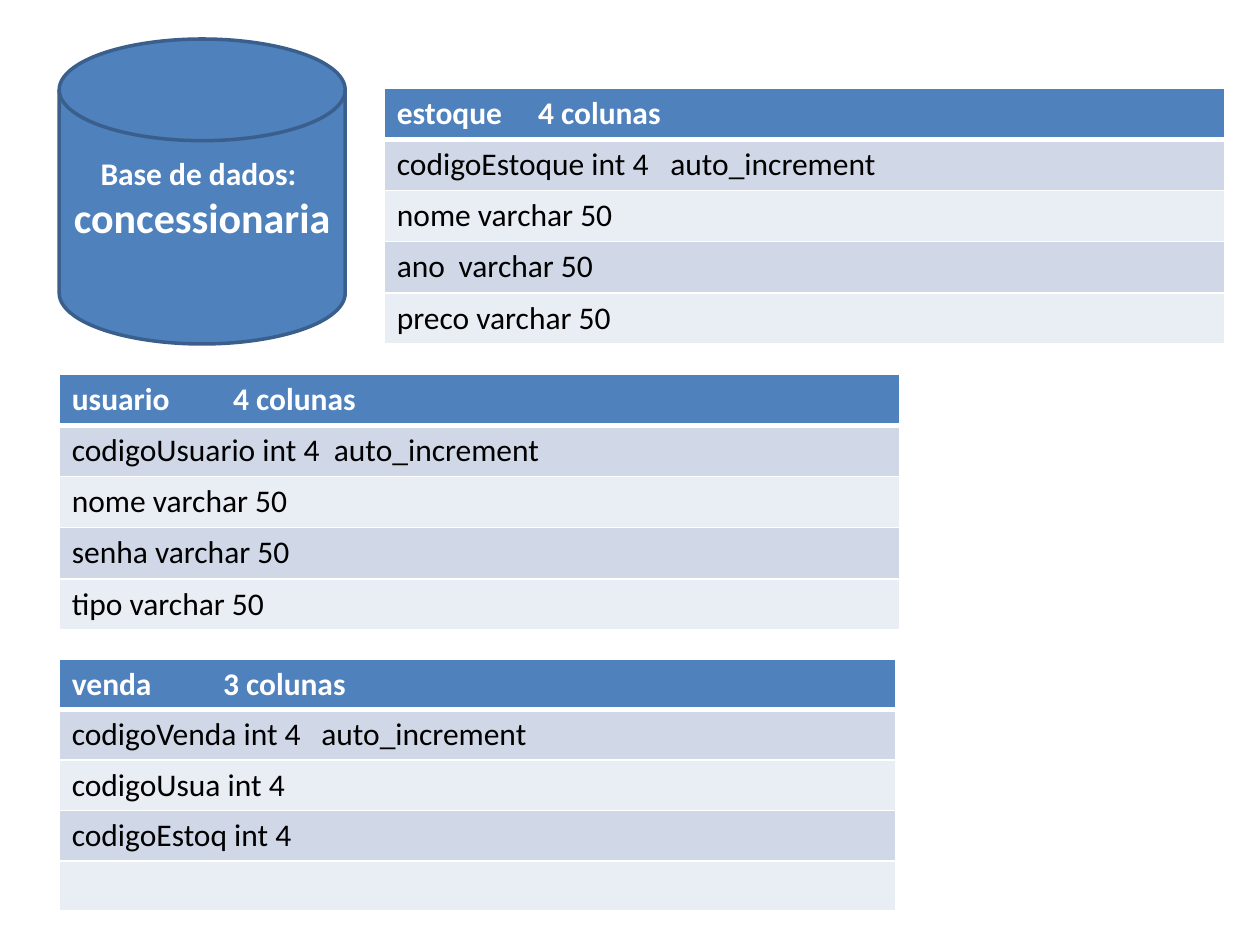
from dataclasses import dataclass

from lxml import etree
from pptx import Presentation
from pptx.dml.color import RGBColor
from pptx.enum.shapes import MSO_SHAPE
from pptx.enum.text import MSO_ANCHOR, MSO_AUTO_SIZE, PP_ALIGN
from pptx.oxml.ns import qn
from pptx.util import Inches, Pt

DISK = MSO_SHAPE.FLOWCHART_MAGNETIC_DISK
MIDDLE = MSO_ANCHOR.MIDDLE
FIT_SHAPE = MSO_AUTO_SIZE.SHAPE_TO_FIT_TEXT
LEFT, CENTER = PP_ALIGN.LEFT, PP_ALIGN.CENTER


@dataclass(frozen=True)
class Theme:
    font: str = "Calibri"
    body_size: int = 18
    name_size: int = 24
    accent: str = "4F81BD"
    outline: str = "3A5F8C"
    bands: tuple = ("D0D8E8", "E9EDF4")
    light: str = "FFFFFF"
    dark: str = "000000"
    rule: int = 1
    header_rule: int = 3


THEME = Theme()

# Each entry: left, top, width, height, rows of (text, tab stop)
SCHEMA = [
    (3.05, 0.7, 6.67, 2.03, [
        ("estoque\t4 colunas", 1.12),
        ("codigoEstoque int 4\tauto_increment", 2.17),
        ("nome varchar 50", None),
        ("ano\tvarchar 50", 0.49),
        ("preco varchar 50", None),
    ]),
    (0.47, 2.97, 6.67, 2.03, [
        ("usuario\t4 colunas", 1.28),
        ("codigoUsuario int 4\tauto_increment", 2.08),
        ("nome varchar 50", None),
        ("senha varchar 50", None),
        ("tipo varchar 50", None),
    ]),
    (0.47, 5.23, 6.64, 2.0, [
        ("venda\t3 colunas", 1.2),
        ("codigoVenda int 4\tauto_increment", 1.98),
        ("codigoUsua int 4", None),
        ("codigoEstoq int 4", None),
        ("", None),
    ]),
]


def write_text(frame, text, size=THEME.body_size, color=THEME.light,
               bold=False, align=LEFT, tab=None):
    paragraph = frame.paragraphs[0]
    paragraph.alignment = align
    paragraph.font.size = Pt(size)
    if tab:
        stops = etree.SubElement(paragraph._p.get_or_add_pPr(), qn("a:tabLst"))
        etree.SubElement(stops, qn("a:tab"), pos=str(Inches(tab)), algn="l")
    if text:
        run = paragraph.add_run()
        run.text = text
        run.font.name = THEME.font
        run.font.size = Pt(size)
        run.font.bold = bold
        run.font.color.rgb = RGBColor.from_string(color)


def paint(fill, color):
    fill.solid()
    fill.fore_color.rgb = RGBColor.from_string(color)


def set_borders(cell, top, bottom):
    properties = cell._tc.get_or_add_tcPr()
    widths = {"lnL": THEME.rule, "lnR": THEME.rule, "lnT": top, "lnB": bottom}
    for side, width in widths.items():
        line = etree.SubElement(properties, qn(f"a:{side}"), w=str(Pt(width)))
        solid = etree.SubElement(line, qn("a:solidFill"))
        etree.SubElement(solid, qn("a:srgbClr"), val=THEME.light)


def add_database(slide):
    disk = slide.shapes.add_shape(DISK, Inches(0.47), Inches(0.31),
                                  Inches(2.27), Inches(2.42))
    disk.shadow.inherit = False
    paint(disk.fill, THEME.accent)
    paint(disk.line.fill, THEME.outline)
    disk.line.width = Pt(2)
    disk.text_frame.word_wrap = True
    disk.text_frame.vertical_anchor = MIDDLE
    write_text(disk.text_frame, "concessionaria", size=THEME.name_size,
               bold=True, align=CENTER)

    caption = slide.shapes.add_textbox(Inches(0.7), Inches(1.17),
                                       Inches(1.77), Inches(0.4))
    caption.text_frame.word_wrap = False
    caption.text_frame.auto_size = FIT_SHAPE
    write_text(caption.text_frame, "Base de dados:", bold=True)


def add_schema_table(slide, left, top, width, height, fields):
    table = slide.shapes.add_table(len(fields), 1, Inches(left), Inches(top),
                                   Inches(width), Inches(height)).table
    for index, (text, tab) in enumerate(fields):
        header = index == 0
        cell = table.cell(index, 0)
        set_borders(cell,
                    top=THEME.header_rule if index == 1 else THEME.rule,
                    bottom=THEME.header_rule if header else THEME.rule)
        paint(cell.fill, THEME.accent if header else THEME.bands[(index - 1) % 2])
        write_text(cell.text_frame, text, bold=header, tab=tab,
                   color=THEME.light if header else THEME.dark)


def main():
    deck = Presentation()
    deck.slide_width, deck.slide_height = Inches(10), Inches(7.5)
    slide = deck.slides.add_slide(deck.slide_layouts[6])

    # Database symbol
    add_database(slide)

    # Tables of the database
    for entry in SCHEMA:
        add_schema_table(slide, *entry)

    deck.save("out.pptx")


main()
